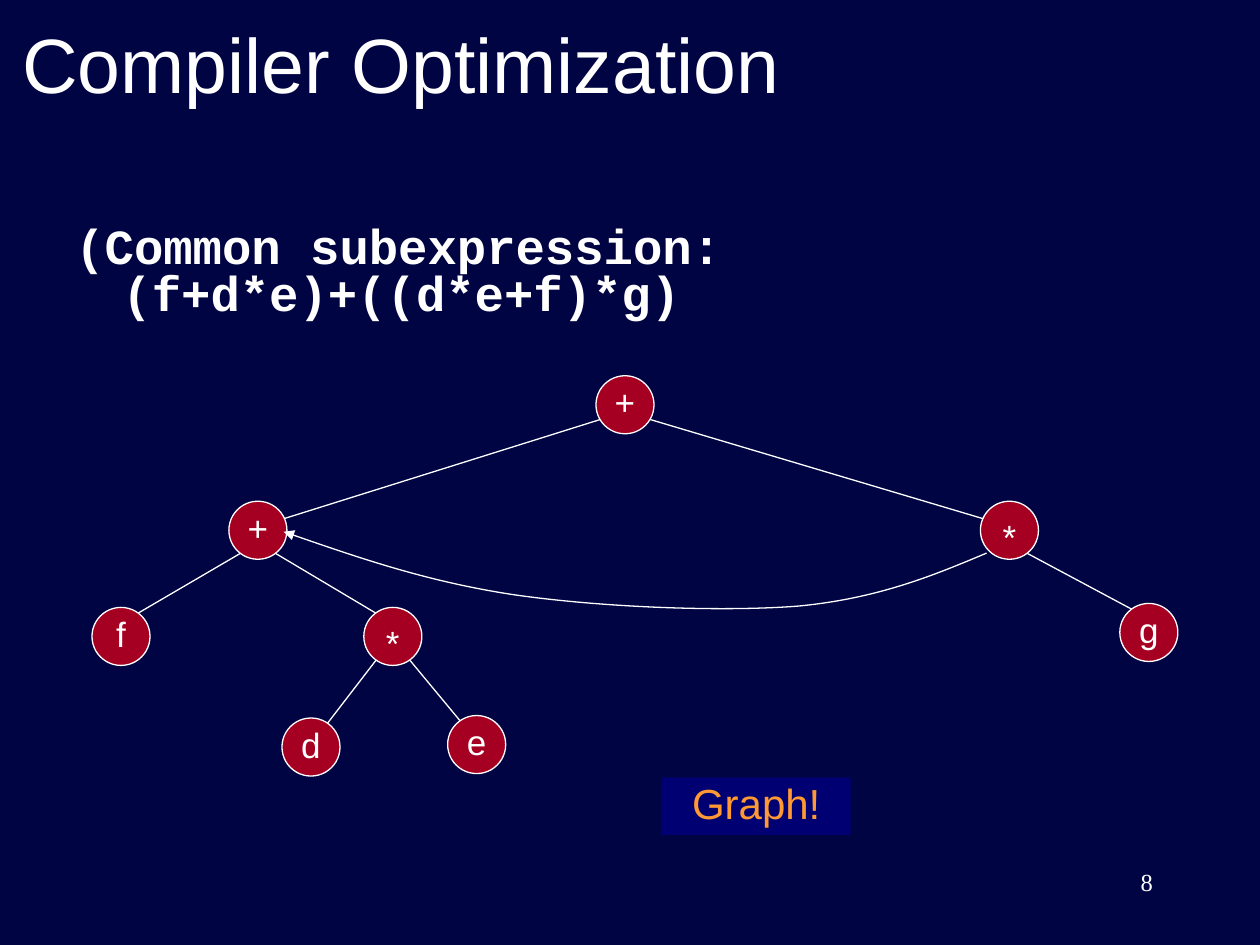
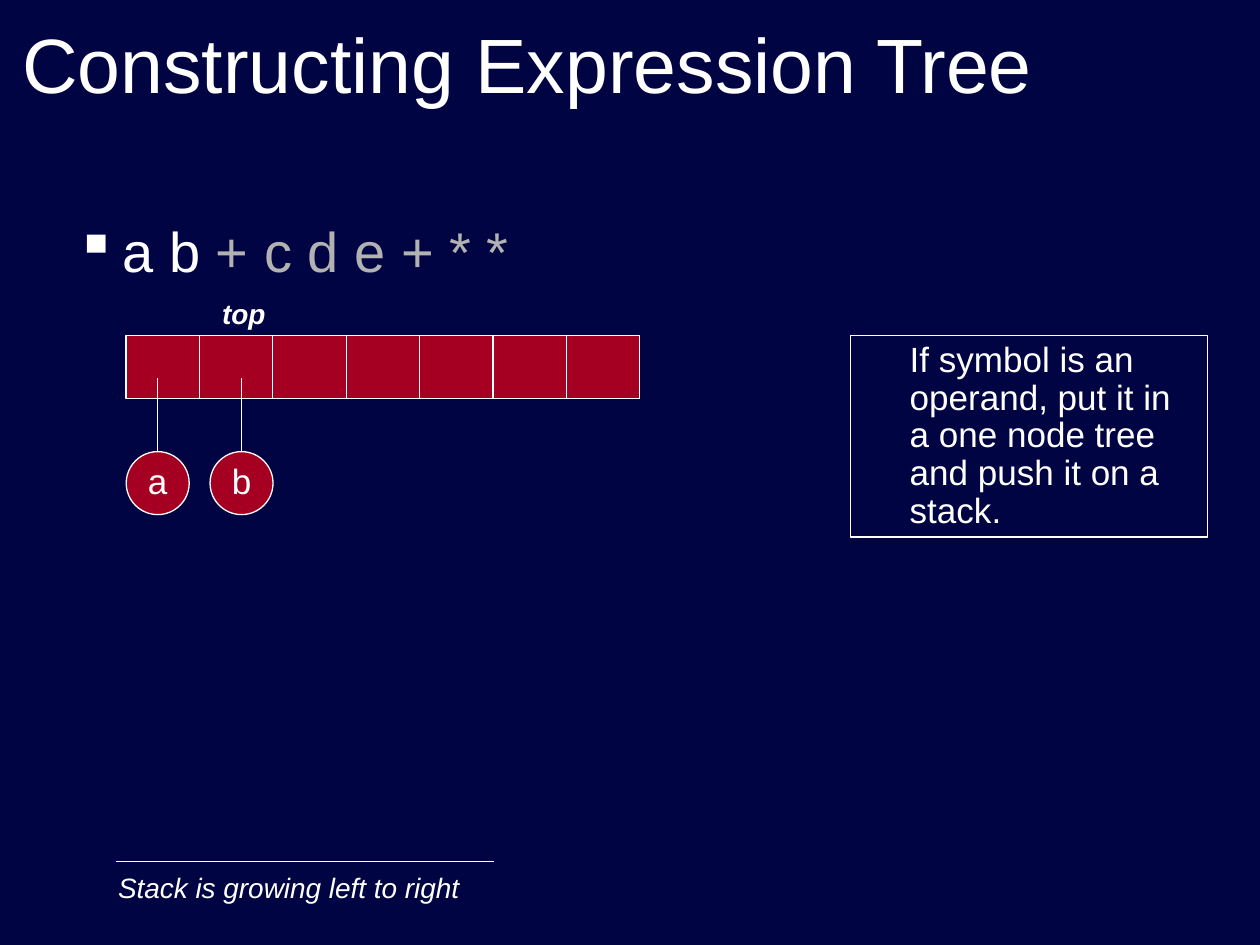
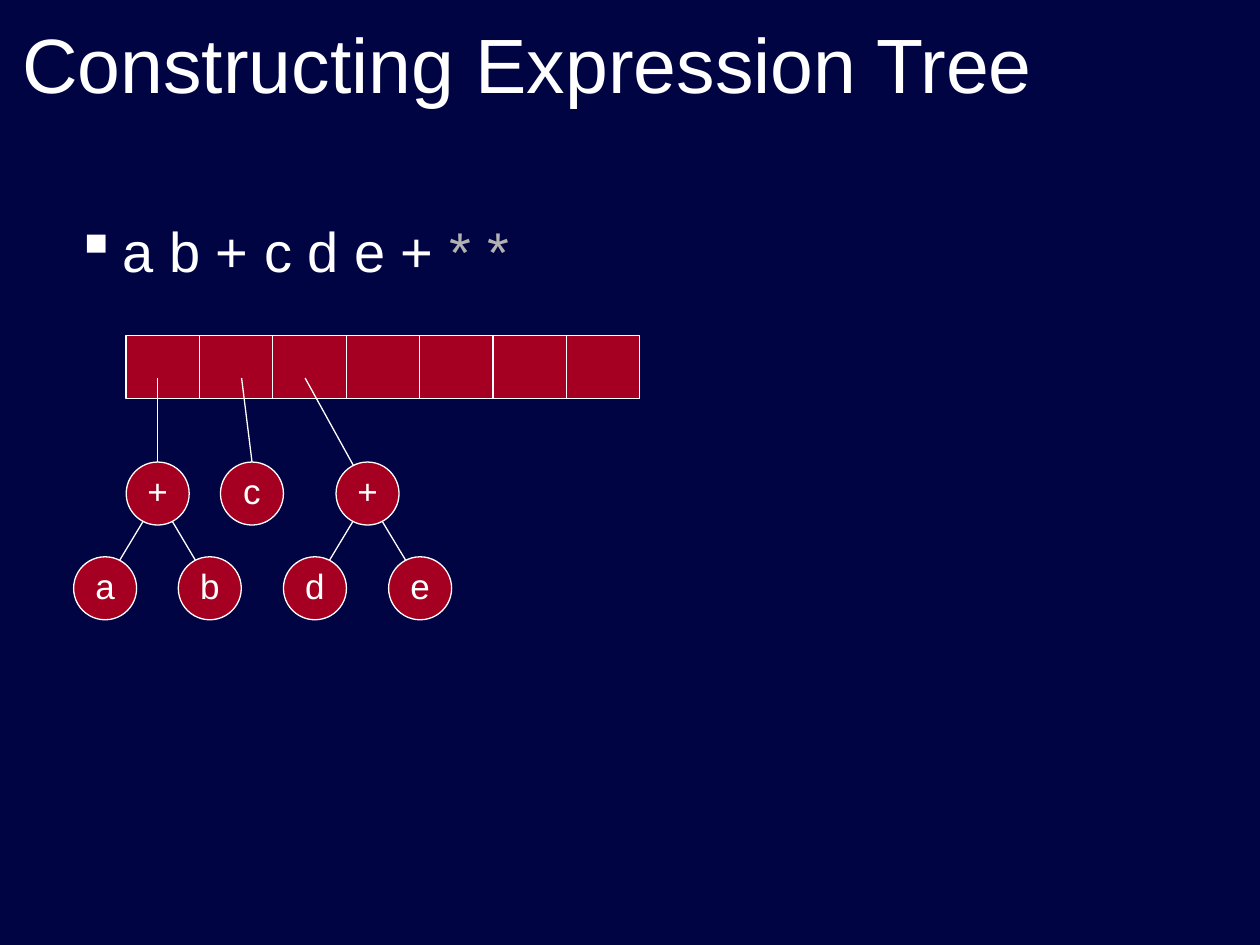
"""Builds three slides on expression graphs and building an expression tree with a stack."""
import pptx
import pptx.dml.color
import pptx.enum.shapes
import pptx.enum.text
import pptx.oxml.ns
import pptx.util
from lxml import etree

NAVY, BLUE, RED = "010442", "000072", "A50021"
WHITE, GREY, ORANGE = "FFFFFF", "B2B2B2", "FF9933"
BULLET_INDENT = 0.95
STACK_LEFT, STACK_TOP, STACK_WIDTH, STACK_HEIGHT, STACK_CELLS = 2.54, 6.77, 10.36, 1.27, 7
POINTER_TOP = 7.62

GRAPH_NODES = {
    "sum": ("+", 12.6, 8.16),
    "left sum": ("+", 5.2, 10.69),
    "right product": ("*", 20.35, 10.69),
    "f": ("f", 2.44, 12.83),
    "left product": ("*", 7.92, 12.83),
    "d": ("d", 6.27, 15.06),
    "e": ("e", 9.61, 15.01),
    "g": ("g", 23.16, 12.75),
}
GRAPH_TOP_EDGES = [("sum", "left sum"), ("sum", "right product")]
GRAPH_LOWER_EDGES = [
    ("left sum", "f"), ("left sum", "left product"), ("left product", "d"),
    ("left product", "e"), ("right product", "g"),
]
SHARED_LINK = [
    (19.89, 11.15), (18.8, 11.61), (17.68, 12.07), (16.08, 12.22), (14.5, 12.34),
    (12.09, 12.24), (10.36, 11.99), (8.64, 11.73), (7.19, 11.23), (5.72, 10.72),
]

OPERAND_NODES = {"a": ("a", 3.18, 9.74), "b": ("b", 4.87, 9.74)}
OPERAND_POINTERS = [(3.18, 3.18, 9.31), (4.87, 4.87, 9.31)]
OPERAND_RULE = "If symbol is an operand, put it in a one node tree and push it on a stack."

FOREST_NODES = {
    "first sum": ("+", 3.18, 9.95),
    "c": ("c", 5.08, 9.95),
    "second sum": ("+", 7.41, 9.95),
    "a": ("a", 2.12, 11.86),
    "b": ("b", 4.23, 11.86),
    "d": ("d", 6.35, 11.86),
    "e": ("e", 8.47, 11.86),
}
FOREST_EDGES = [("first sum", "a"), ("first sum", "b"), ("second sum", "d"), ("second sum", "e")]
FOREST_POINTERS = [(3.18, 3.18, 9.31), (4.87, 5.08, 9.31), (6.15, 7.2, 9.52)]


def color(value):
    return pptx.dml.color.RGBColor.from_string(value)


def lengths(*values):
    return [pptx.util.Cm(value) for value in values]


def style_line(shape):
    shape.line.color.rgb = color(WHITE)
    shape.line.width = pptx.util.Pt(0.75)


def write(shape, pieces, size, font="Arial", bold=False, italic=False, align="LEFT",
          spacing=None, margin=0, indent=0, bullet=None):
    paragraph = shape.text_frame.paragraphs[0]
    paragraph.alignment = getattr(pptx.enum.text.PP_ALIGN, align)
    if spacing:
        paragraph.line_spacing = spacing
    properties = paragraph._p.get_or_add_pPr()
    properties.set("marL", str(pptx.util.Cm(margin)))
    properties.set("indent", str(pptx.util.Cm(indent)))
    if bullet:
        bullet_color = etree.SubElement(properties, pptx.oxml.ns.qn("a:buClr"))
        etree.SubElement(bullet_color, pptx.oxml.ns.qn("a:srgbClr"), val=WHITE)
        etree.SubElement(properties, pptx.oxml.ns.qn("a:buChar"), char=bullet)
    for text, text_color in pieces:
        for number, line in enumerate(text.split("\n")):
            if number:
                paragraph.add_line_break()
            run = paragraph.add_run()
            run.text = line
            run.font.name, run.font.size = font, pptx.util.Pt(size)
            run.font.bold, run.font.italic = bold, italic
            run.font.color.rgb = color(text_color)


def add_text(slide, box, pieces, size, anchor="TOP", **style):
    shape = slide.shapes.add_textbox(*lengths(*box))
    shape.text_frame.word_wrap = True
    shape.text_frame.vertical_anchor = getattr(pptx.enum.text.MSO_ANCHOR, anchor)
    write(shape, pieces, size, **style)
    return shape


def add_preset(slide, kind, box, fill):
    preset = getattr(pptx.enum.shapes.MSO_SHAPE, kind)
    shape = slide.shapes.add_shape(preset, *lengths(*box))
    shape.shadow.inherit = False
    shape.fill.solid()
    shape.fill.fore_color.rgb = color(fill)
    style_line(shape)
    return shape


def add_line(slide, start, end):
    straight = pptx.enum.shapes.MSO_CONNECTOR.STRAIGHT
    connector = slide.shapes.add_connector(straight, *lengths(*start, *end))
    style_line(connector)
    etree.SubElement(connector._element.spPr, pptx.oxml.ns.qn("a:effectLst"))


def add_edges(slide, nodes, edges, across, below, above):
    for parent, child in edges:
        _, parent_x, parent_y = nodes[parent]
        _, child_x, child_y = nodes[child]
        shift = across if child_x > parent_x else -across
        add_line(slide, (parent_x + shift, parent_y + below), (child_x - shift, child_y - above))


def add_nodes(slide, nodes, diameter):
    for label, x, y in nodes.values():
        box = (x - diameter / 2, y - diameter / 2, diameter, diameter)
        node = add_preset(slide, "OVAL", box, RED)
        frame = node.text_frame
        frame.word_wrap = False
        frame.vertical_anchor = pptx.enum.text.MSO_ANCHOR.MIDDLE
        top, bottom = (0.25, 0) if label == "*" else (0, 0.12)
        frame.margin_left, frame.margin_right, frame.margin_top, frame.margin_bottom = lengths(
            0, 0, top, bottom)
        write(node, [(label, WHITE)], 20, align="CENTER")


def add_curved_arrow(slide, points):
    points = [tuple(lengths(*point)) for point in points]
    builder = slide.shapes.build_freeform(*points[0])
    builder.add_line_segments(points[1:], close=False)
    curve = builder.convert_to_shape()
    curve.shadow.inherit = False
    curve.fill.background()
    style_line(curve)
    segments = list(curve._element.iter(pptx.oxml.ns.qn("a:lnTo")))
    for first in range(0, len(segments), 3):
        outline = segments[first].getparent()
        bezier = etree.SubElement(outline, pptx.oxml.ns.qn("a:cubicBezTo"))
        for segment in segments[first:first + 3]:
            bezier.append(segment[0])
            outline.remove(segment)
    line = curve._element.spPr.find(pptx.oxml.ns.qn("a:ln"))
    etree.SubElement(line, pptx.oxml.ns.qn("a:tailEnd"), type="triangle")


def add_slide(presentation, title):
    slide = presentation.slides.add_slide(presentation.slide_layouts[6])
    slide.background.fill.solid()
    slide.background.fill.fore_color.rgb = color(NAVY)
    add_text(slide, (0.2, 0, 22.86, 2.54), [(title, WHITE)], 44, anchor="MIDDLE")
    return slide


def add_stack_slide(presentation, read, unread, pointers):
    slide = add_slide(presentation, "Constructing Expression Tree")
    add_text(slide, (1.27, 4.24, 22.86, 2.33), [(read, WHITE), (unread, GREY)], 32,
             margin=BULLET_INDENT, indent=-BULLET_INDENT, bullet="▪")
    add_preset(slide, "RECTANGLE", (STACK_LEFT, STACK_TOP, STACK_WIDTH, STACK_HEIGHT), RED)
    for cell in range(1, STACK_CELLS):
        x = STACK_LEFT + cell * STACK_WIDTH / STACK_CELLS
        add_line(slide, (x, STACK_TOP), (x, STACK_TOP + STACK_HEIGHT))
    for start_x, end_x, end_y in pointers:
        add_line(slide, (start_x, POINTER_TOP), (end_x, end_y))
    return slide


def build_graph_slide(presentation):
    slide = add_slide(presentation, "Compiler Optimization")
    add_text(slide, (1.27, 4.45, 22.86, 2.33),
             [("(Common subexpression:\n(f+d*e)+((d*e+f)*g)", WHITE)], 28, font="Courier New",
             bold=True, spacing=0.8, margin=BULLET_INDENT, indent=-BULLET_INDENT)
    add_edges(slide, GRAPH_NODES, GRAPH_TOP_EDGES, 0.35, 0.25, 0.18)
    add_edges(slide, GRAPH_NODES, GRAPH_LOWER_EDGES, 0.31, 0.44, 0.45)
    add_nodes(slide, GRAPH_NODES, 1.17)
    add_curved_arrow(slide, SHARED_LINK)
    caption = add_text(slide, (13.34, 15.67, 3.81, 1.16), [("Graph!", ORANGE)], 24,
                       align="CENTER", spacing=0.9)
    caption.fill.solid()
    caption.fill.fore_color.rgb = color(BLUE)
    add_text(slide, (18.2, 17.36, 5.29, 1.27), [("8", WHITE)], 14, font="Times New Roman",
             align="RIGHT")


def build_operand_slide(presentation):
    slide = add_stack_slide(presentation, "a b ", "+ c d e + * *", OPERAND_POINTERS)
    add_nodes(slide, OPERAND_NODES, 1.27)
    add_text(slide, (4.23, 5.93, 1.9, 0.86), [("top", WHITE)], 16, bold=True, italic=True,
             spacing=0.9)
    rule = add_text(slide, (17.14, 6.77, 7.2, 4.06), [(OPERAND_RULE, WHITE)], 20, spacing=0.9,
                    margin=BULLET_INDENT)
    style_line(rule)
    add_line(slide, (2.33, 17.36), (9.95, 17.36))
    add_text(slide, (2.13, 17.42, 7.5, 0.94), [("Stack is growing left to right", WHITE)], 16,
             italic=True)


def build_forest_slide(presentation):
    slide = add_stack_slide(presentation, "a b + c d e +", " * *", FOREST_POINTERS)
    add_edges(slide, FOREST_NODES, FOREST_EDGES, 0.21, 0.42, 0.43)
    add_nodes(slide, FOREST_NODES, 1.27)


def main():
    presentation = pptx.Presentation()
    presentation.slide_width, presentation.slide_height = lengths(25.4, 19.05)
    build_graph_slide(presentation)
    build_operand_slide(presentation)
    build_forest_slide(presentation)
    presentation.save("out.pptx")


if __name__ == "__main__":
    main()
